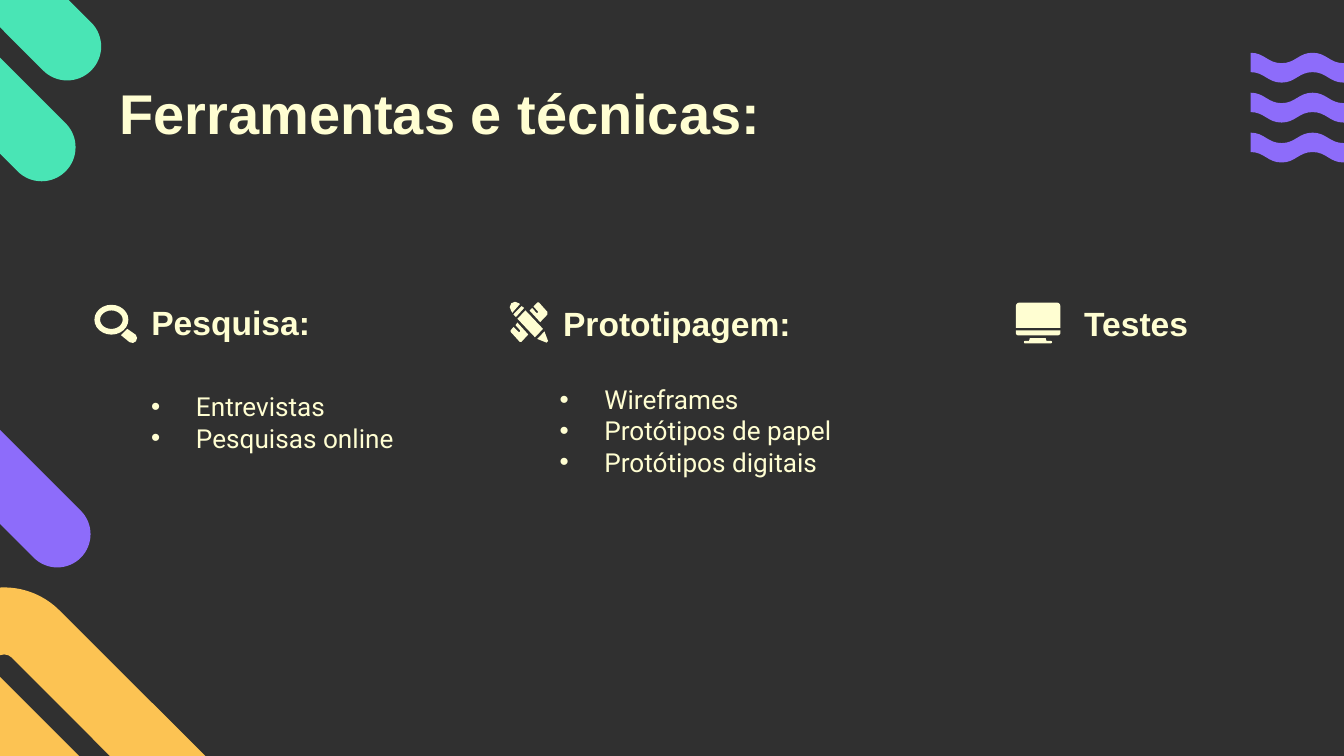
from math import cos, radians, sin, tan

from lxml import etree
from pptx import Presentation
from pptx.dml.color import RGBColor
from pptx.enum.shapes import MSO_SHAPE
from pptx.enum.text import MSO_ANCHOR
from pptx.oxml.ns import qn
from pptx.util import Pt

DONUT = MSO_SHAPE.DONUT
ROUND_TOP = MSO_SHAPE.ROUND_2_SAME_RECTANGLE
TOP, BOTTOM = MSO_ANCHOR.TOP, MSO_ANCHOR.BOTTOM

COLORS = {
    "background": "303030",
    "cream": "FFFED2",
    "green": "49E5B5",
    "purple": "8D6CFA",
    "orange": "FCC353",
}


def arc(cx, cy, radius, start, end):
    """Start point, then cubics; degrees run clockwise from the right."""
    count = max(1, round(abs(end - start) / 45))
    step = radians(end - start) / count
    handle = 4 / 3 * tan(step / 4)

    def on_circle(angle, reach):
        x, y = cos(angle), sin(angle)
        return cx + radius * (x - reach * y), cy + radius * (y + reach * x)

    angles = [radians(start) + step * i for i in range(count + 1)]
    cubics = [
        on_circle(a, handle) + on_circle(b, -handle) + on_circle(b, 0)
        for a, b in zip(angles, angles[1:])
    ]
    return [on_circle(angles[0], 0), *cubics]


def hairpin(dx=0, dy=0):
    """Diagonal band folded back on itself, with two round tips."""
    bend = (2.2 + dx, 356.5 + dy)
    return [
        *arc(*bend, 41.8, 135, 315),
        *arc(155.5 + dx, 476.1 + dy, 18.2, -45, 135),
        *arc(*bend, 5.9, 315, 135),
        *arc(141.8 + dx, 530.1 + dy, 18.2, -45, 135),
    ]


def wave(left, top, half=16.6, height=5.6, thickness=10.4, halves=6):
    """Horizontal wavy band of constant thickness."""

    def edge(y, order):
        nodes = [(left + half * i, y + height * (i % 2)) for i in order]
        cubics = []
        for (x1, y1), (x2, y2) in zip(nodes, nodes[1:]):
            reach = (x2 - x1) * 0.45
            cubics.append((x1 + reach, y1, x2 - reach, y2, x2, y2))
        return [nodes[0], *cubics]

    order = range(halves + 1)
    return edge(top, order) + edge(top + thickness, order[::-1])


class SlideBuilder:
    """Holds the palette, the fonts and the slide being filled."""

    heading_font = "Arial"
    body_font = "Roboto"

    def __init__(self, slide):
        self.slide = slide
        fill = slide.background.fill
        fill.solid()
        fill.fore_color.rgb = self.color("background")

    def color(self, name):
        return RGBColor.from_string(COLORS[name])

    def paint(self, shape, color):
        shape.shadow.inherit = False
        shape.fill.solid()
        shape.fill.fore_color.rgb = self.color(color)
        shape.line.fill.background()

    def outline(self, segments, color):
        """Closed shape; a segment is a line end (x, y) or a cubic of six numbers."""
        points = [
            (Pt(segment[i]), Pt(segment[i + 1]))
            for segment in segments
            for i in range(0, len(segment), 2)
        ]
        builder = self.slide.shapes.build_freeform(*points[0])
        builder.add_line_segments(points[1:], close=True)
        shape = builder.convert_to_shape()
        lines = iter(list(shape._element.iter(qn("a:lnTo"))))
        for segment in segments[1:]:
            line = next(lines)
            if len(segment) == 6:
                line.tag = qn("a:cubicBezTo")
                for _ in range(2):
                    extra = next(lines)
                    line.append(extra[0])
                    extra.getparent().remove(extra)
        self.paint(shape, color)

    def preset(self, kind, box, color, adjustments):
        shape = self.slide.shapes.add_shape(kind, *map(Pt, box))
        for i, value in enumerate(adjustments):
            shape.adjustments[i] = value
        self.paint(shape, color)

    def text(self, content, box, size, font, bold=False, anchor=TOP):
        frame = self.slide.shapes.add_textbox(*map(Pt, box)).text_frame
        frame.word_wrap = True
        frame.vertical_anchor = anchor
        frame.margin_left = frame.margin_right = Pt(7.2)
        frame.margin_top = frame.margin_bottom = Pt(7.2)
        frame.text = content
        for paragraph in frame.paragraphs:
            style = paragraph.runs[0].font
            style.size, style.name, style.bold = Pt(size), font, bold
            style.color.rgb = self.color("cream")
        return frame

    def heading(self, content, box, size=18, anchor=BOTTOM):
        self.text(content, box, size, self.heading_font, True, anchor)

    def bullets(self, items, box):
        frame = self.text("\n".join(items), box, 14, self.body_font)
        for paragraph in frame.paragraphs:
            props = paragraph._p.get_or_add_pPr()
            props.set("marL", str(Pt(36)))
            props.set("indent", str(-Pt(24)))
            bullet_color = etree.SubElement(props, qn("a:buClr"))
            etree.SubElement(bullet_color, qn("a:srgbClr"), val=COLORS["cream"])
            etree.SubElement(props, qn("a:buFont"), typeface="Arial")
            etree.SubElement(props, qn("a:buChar"), char="•")


def add_decoration(builder):
    builder.outline(hairpin(), "orange")
    stripe = [(-49, 231.6), (-23.8, 206.4), *arc(30.7, 286.2, 17.8, -45, 135)]
    builder.outline(stripe, "purple")
    for row in range(3):
        builder.outline(wave(670, 28.3 + 21.4 * row), "purple")
    builder.outline(hairpin(-119.5, -451.2), "green")


def add_magnifier(builder):
    handle = [(64.8, 179.6), (68.2, 176.2), *arc(70.9, 181.2, 2.6, -45, 125)]
    builder.outline(handle, "cream")
    builder.preset(DONUT, (50.6, 163.3, 18.2, 16), "cream", [0.19])


def add_pencil_and_ruler(builder):
    ferrule = [(279.4, 164), (275, 168.5), (276.4, 169.9), (280.8, 165)]
    upper_ruler = [
        (288, 162), (285.8, 164.2), (288.3, 167), (288, 167.8), (287.3, 167.6),
        (285.1, 165), (283.7, 166.4), (289.4, 172.6), (293.3, 168.5),
        (293.3, 167.2), (288.7, 162),
    ]
    body = [(281.5, 166.3), (277.2, 170.8), (286.6, 180.7), (290.9, 176.2)]
    tip = [(291.7, 177.6), (287.8, 181.6), (292.8, 183.6), (293.6, 182.8)]
    lower_ruler = [
        (277.2, 172.8), (276.2, 174.2), (278.7, 177), (278.6, 177.8),
        (277.8, 177.8), (275.2, 175.2), (273.6, 176.9), (273.6, 177.8),
        (278.5, 183.2), (279.3, 183.2), (283, 179.2),
    ]
    eraser = [*arc(276, 164.6, 2.9, 135, 315), (278.6, 162.9), (274.5, 167.6)]
    for part in (ferrule, upper_ruler, body, tip, lower_ruler, eraser):
        builder.outline(part, "cream")


def add_monitor(builder):
    stand = [
        (551.7, 181.2), (560.2, 181.2), (560.6, 182.6), *arc(562.9, 183.3, 0.7, -90, 90),
        *arc(549.2, 183.3, 0.7, 90, 270), (551.3, 182.6),
    ]
    builder.outline(stand, "cream")
    builder.preset(ROUND_TOP, (544.2, 177, 23.9, 2.7), "cream", [0, 0.5])
    builder.preset(ROUND_TOP, (544.2, 162.1, 23.9, 13.6), "cream", [0.14, 0])


def main():
    deck = Presentation()
    deck.slide_width, deck.slide_height = Pt(720), Pt(405)
    builder = SlideBuilder(deck.slides.add_slide(deck.slide_layouts[6]))

    add_decoration(builder)
    builder.bullets(["Entrevistas", "Pesquisas online"], (61.9, 202.2, 160.6, 80.6))
    builder.bullets(
        ["Wireframes", "Protótipos de papel", "Protótipos digitais"],
        (280.7, 198.2, 194.4, 80.6),
    )
    builder.heading("Ferramentas e técnicas:", (56.9, 35, 607, 45.4), 30, TOP)
    builder.heading("Pesquisa:", (74, 149, 116, 41.8))
    builder.heading("Prototipagem:", (294.6, 149.3, 168.5, 41.8))
    builder.heading("Testes", (573.8, 149.3, 89.3, 41.8))
    add_magnifier(builder)
    add_pencil_and_ruler(builder)
    add_monitor(builder)
    deck.save("out.pptx")


if __name__ == "__main__":
    main()
